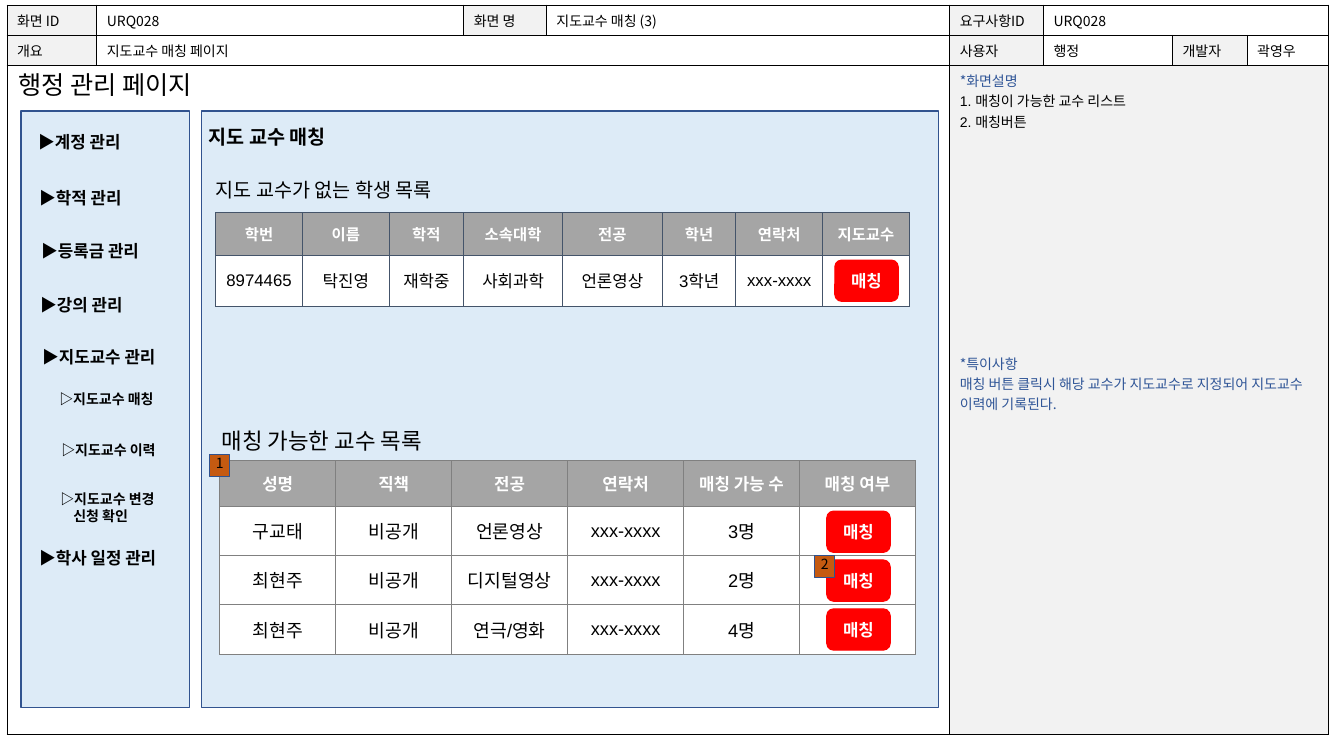
from lxml.etree import SubElement
from pptx import Presentation
from pptx.dml.color import RGBColor
from pptx.enum.shapes import MSO_SHAPE
from pptx.enum.text import MSO_ANCHOR, PP_ALIGN
from pptx.oxml import parse_xml
from pptx.oxml.ns import nsdecls, qn
from pptx.util import Inches, Pt

COLORS = {
    "black": "000000", "white": "FFFFFF", "label": "F2F2F2", "note": "2F5597",
    "panel": "DDEBF7", "panel_line": "31538F", "head": "A5A5A5",
    "student_line": "44546A", "professor_line": "808080",
    "button": "FF0000", "marker": "C55A11", "marker_line": "2F528F",
}
KOREAN = "Noto Sans CJK KR"


def rgb(name):
    """Look up a palette colour."""
    return RGBColor.from_string(COLORS[name])


def write(paragraph, text, size, color="black", bold=False, font=KOREAN):
    """Add one styled run to a paragraph."""
    run = paragraph.add_run()
    run.text = text
    run.font.size, run.font.bold, run.font.name = Pt(size), bold, font
    run.font.color.rgb = rgb(color)
    SubElement(run.font._element, qn("a:ea"), typeface=KOREAN)


def set_margins(holder, across, down):
    """Set the inner margins of a cell or text frame."""
    holder.margin_left = holder.margin_right = Inches(across)
    holder.margin_top = holder.margin_bottom = Inches(down)


def add_label(slide, box, lines, size, bold=False, inset=(0, 0), anchor=MSO_ANCHOR.TOP):
    """Place a text box and return its paragraphs."""
    frame = slide.shapes.add_textbox(*map(Inches, box)).text_frame
    frame.word_wrap, frame.vertical_anchor = True, anchor
    set_margins(frame, *inset)
    for index, line in enumerate(lines):
        paragraph = frame.add_paragraph() if index else frame.paragraphs[0]
        write(paragraph, line, size, bold=bold)
    return frame.paragraphs


def add_block(slide, box, fill, line, width, kind=MSO_SHAPE.RECTANGLE):
    """Place a filled, outlined shape."""
    block = slide.shapes.add_shape(kind, *map(Inches, box))
    block.shadow.inherit = False
    block.fill.solid()
    block.fill.fore_color.rgb = rgb(fill)
    block.line.color.rgb, block.line.width = rgb(line), Pt(width)
    return block


def add_caption(block, text, size, anchor, **style):
    """Write centred text inside a shape."""
    frame = block.text_frame
    set_margins(frame, 0, 0)
    frame.vertical_anchor = anchor
    frame.paragraphs[0].alignment = PP_ALIGN.CENTER
    write(frame.paragraphs[0], text, size, **style)


def add_button(slide, left, top):
    """Place a red matching button."""
    button = add_block(slide, (left, top, 0.63, 0.41), "button", "button", 0.75,
                       MSO_SHAPE.ROUNDED_RECTANGLE)
    add_caption(button, "매칭", 12, MSO_ANCHOR.MIDDLE, color="white", bold=True, font="Arial")


def add_marker(slide, left, top, number):
    """Place a numbered callout marker."""
    marker = add_block(slide, (left, top, 0.2, 0.22), "marker", "marker_line", 1)
    add_caption(marker, number, 10, MSO_ANCHOR.TOP)


def paint_cell(cell, fill, line):
    """Fill a cell and draw its four borders."""
    cell.fill.solid()
    cell.fill.fore_color.rgb = rgb(fill)
    properties = cell._tc.get_or_add_tcPr()
    for index, side in enumerate("LRTB"):
        properties.insert(index, parse_xml(
            f'<a:ln{side} {nsdecls("a")} w="9525"><a:solidFill>'
            f'<a:srgbClr val="{COLORS[line]}"/></a:solidFill></a:ln{side}>'))


def add_grid(slide, left, top, widths, heights):
    """Place an unbanded table with given columns and rows."""
    table = slide.shapes.add_table(
        len(heights), len(widths), Inches(left), Inches(top),
        Inches(sum(widths)), Inches(sum(heights))).table
    table.first_row = table.horz_banding = False
    for column, width in zip(table.columns, widths):
        column.width = Inches(width)
    for row, height in zip(table.rows, heights):
        row.height = Inches(height)
    return table


def add_sheet(slide, left, top):
    """Build the specification frame with its header and notes."""
    sheet = add_grid(slide, left, top, (0.89, 3.64, 0.82, 4, 0.93, 1.28, 0.74, 0.81),
                     (0.27, 0.29, 6.64))
    entries = (
        ("화면 ID", "URQ028", "화면 명", "지도교수 매칭 (3)", "요구사항ID", "URQ028", "", ""),
        ("개요", "지도교수 매칭 페이지", "", "", "사용자", "행정", "개발자", "곽영우"),
        ("",) * 8,
    )
    labels = {(0, 0), (0, 2), (0, 4), (1, 0), (1, 4), (1, 6), (2, 4), (2, 5), (2, 6), (2, 7)}
    for r, row in enumerate(entries):
        for c, text in enumerate(row):
            cell = sheet.cell(r, c)
            paint_cell(cell, "label" if (r, c) in labels else "white", "black")
            set_margins(cell, 0.1, 0.05)
            if text:
                write(cell.text_frame.paragraphs[0], text, 10)
    for r, first, last in ((0, 5, 7), (1, 1, 3), (2, 0, 3), (2, 4, 7)):
        sheet.cell(r, first).merge(sheet.cell(r, last))
    notes = (
        ("*화면설명", "note", KOREAN, 0),
        ("1. 매칭이 가능한 교수 리스트", "black", "Arial", 0),
        ("2. 매칭버튼", "black", "Arial", 0),
        ("*특이사항", "note", KOREAN, 158.5),
        ("매칭 버튼 클릭시 해당 교수가 지도교수로 지정되어 지도교수 이력에 기록된다.", "note", KOREAN, 0),
    )
    frame = sheet.cell(2, 4).text_frame
    for index, (text, color, font, gap) in enumerate(notes):
        paragraph = frame.add_paragraph() if index else frame.paragraphs[0]
        paragraph.space_before = Pt(gap)
        write(paragraph, text, 10, color, font=font)


def add_menu(slide, left, top, width, height):
    """Build the side menu."""
    add_block(slide, (left, top, width, height), "panel", "panel_line", 1)
    items = (
        (0.07, 0.16, 12, ["▶계정 관리"]), (0.08, 0.71, 12, ["▶학적 관리"]),
        (0.1, 1.24, 12, ["▶등록금 관리"]), (0.09, 1.77, 12, ["▶강의 관리"]),
        (0.11, 2.29, 12, ["▶지도교수 관리"]), (0.08, 4.28, 12, ["▶학사 일정 관리"]),
        (0.28, 2.73, 10, ["▷지도교수 매칭"]), (0.3, 3.23, 10, ["▷지도교수 이력"]),
        (0.29, 3.72, 10, ["▷지도교수 변경", "신청 확인"]),
    )
    for x, y, size, lines in items:
        paragraphs = add_label(slide, (left + x, top + y, 1.8, 0.3), lines, size, True, (0.1, 0.05))
        for continuation in paragraphs[1:]:
            continuation._p.get_or_add_pPr().set("marL", str(Inches(0.13)))


def add_listing(slide, left, top, widths, heights, rows, line, sizes):
    """Build a table with a grey heading row."""
    listing = add_grid(slide, left, top, widths, heights)
    for r, row in enumerate(rows):
        for c, text in enumerate(row):
            cell = listing.cell(r, c)
            paint_cell(cell, "white" if r else "head", line)
            set_margins(cell, 0.08, 0.05)
            cell.vertical_anchor = MSO_ANCHOR.MIDDLE
            paragraph = cell.text_frame.paragraphs[0]
            paragraph.alignment = PP_ALIGN.CENTER
            if text:
                write(paragraph, text, sizes[min(r, 1)], "black" if r else "white", not r, "Arial")


def add_matching(slide, left, top, width, height):
    """Build the advisor matching panel."""
    add_block(slide, (left, top, width, height), "panel", "panel_line", 1)
    for x, y, text, size, bold in (
            (0.07, 0.05, "지도 교수 매칭", 14, True),
            (0.14, 0.58, "지도 교수가 없는 학생 목록", 14, False),
            (0.2, 3.07, "매칭 가능한 교수 목록", 16, False)):
        add_label(slide, (left + x, top + y, 2.6, 0.41), [text], size, bold, anchor=MSO_ANCHOR.MIDDLE)
    students = (
        ("학번", "이름", "학적", "소속대학", "전공", "학년", "연락처", "지도교수"),
        ("8974465", "탁진영", "재학중", "사회과학", "언론영상", "3학년", "xxx-xxxx", ""),
    )
    add_listing(slide, left + 0.14, top + 1.01, (0.86, 0.86, 0.74, 0.98, 0.99, 0.73, 0.86, 0.86),
                (0.42, 0.51), students, "student_line", (11, 12))
    add_button(slide, left + 6.28, top + 1.48)
    professors = (
        ("성명", "직책", "전공", "연락처", "매칭 가능 수", "매칭 여부"),
        ("구교태", "비공개", "언론영상", "xxx-xxxx", "3명", ""),
        ("최현주", "비공개", "디지털영상", "xxx-xxxx", "2명", ""),
        ("최현주", "비공개", "연극/영화", "xxx-xxxx", "4명", ""),
    )
    add_listing(slide, left + 0.18, top + 3.47, (1.15,) * 6, (0.45,) + (0.49,) * 3,
                professors, "professor_line", (12, 13))
    for index in range(3):
        add_button(slide, left + 6.2, top + 3.97 + 0.485 * index)
    add_marker(slide, left + 6.08, top + 4.41, "2")
    add_marker(slide, left + 0.08, top + 3.41, "1")


deck = Presentation()
deck.slide_width, deck.slide_height = Inches(13.33), Inches(7.5)
screen = deck.slides.add_slide(deck.slide_layouts[6])
add_sheet(screen, 0.07, 0.05)
add_label(screen, (0.18, 0.69, 4.08, 0.41), ["행정 관리 페이지"], 18)
add_menu(screen, 0.21, 1.1, 1.67, 5.92)
add_matching(screen, 2, 1.1, 7.31, 5.92)
deck.save("out.pptx")
